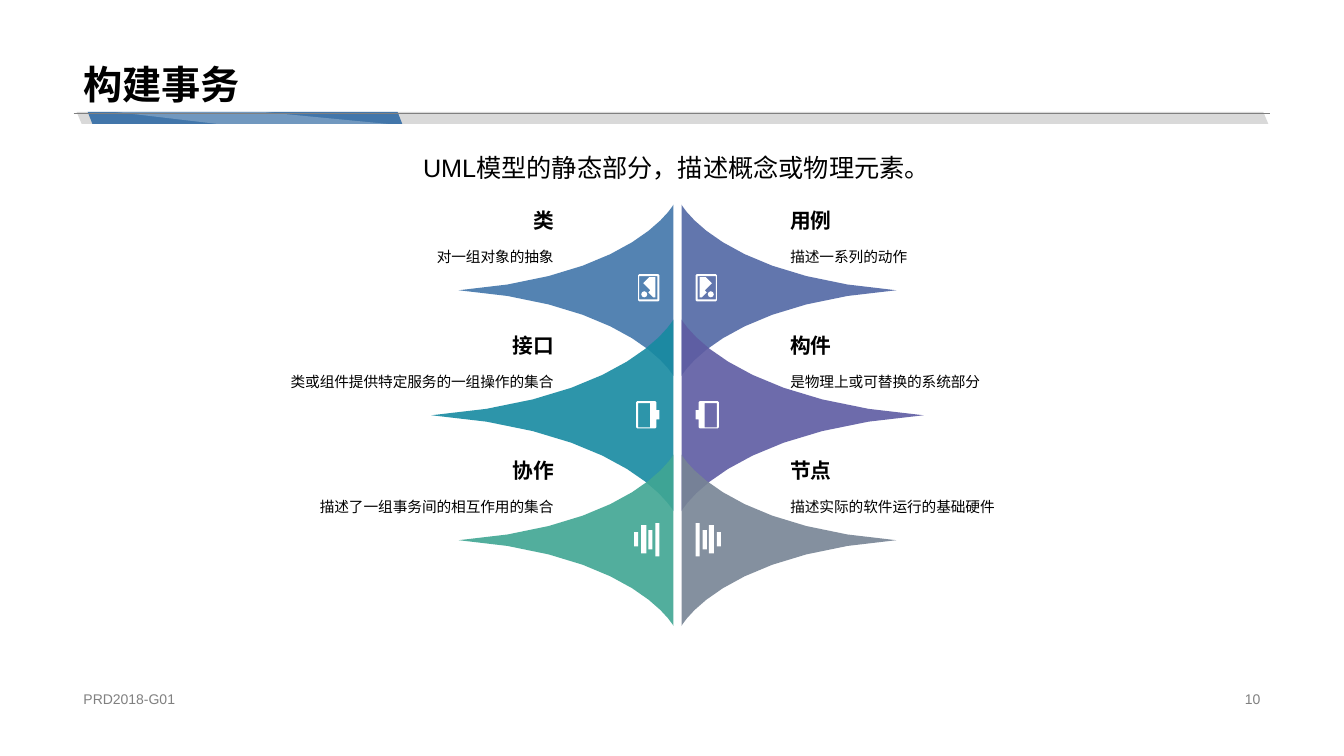
import math
from dataclasses import dataclass

from lxml import etree
from pptx import Presentation
from pptx import util as u
from pptx.dml.color import RGBColor
from pptx.enum import shapes, text
from pptx.oxml import ns

BLACK = RGBColor(0x00, 0x00, 0x00)
WHITE = RGBColor(0xFF, 0xFF, 0xFF)
GREY = RGBColor(0x80, 0x80, 0x80)
PALE = RGBColor(0xD9, 0xD9, 0xD9)
BLUE = RGBColor(0x42, 0x76, 0xAA)
INDIGO = RGBColor(0x52, 0x68, 0xA5)
TEAL = RGBColor(0x17, 0x8A, 0xA1)
VIOLET = RGBColor(0x5E, 0x5C, 0xA2)
GREEN = RGBColor(0x40, 0xA6, 0x93)
SLATE = RGBColor(0x77, 0x84, 0x95)

FONT = "Arial"
AXIS = 6.72
HALF_GAP = 0.04
FIRST_ROW, ROW_STEP = 2.88, 1.24
TEXT_WIDTH = 4.62

Contour = list[tuple[float, float]]


@dataclass(frozen=True)
class Side:
    direction: int
    text_left: float
    align: text.PP_ALIGN


@dataclass(frozen=True)
class Item:
    heading: str
    detail: str
    color: RGBColor


@dataclass(frozen=True)
class Row:
    length: float
    half_height: float
    icon: list[Contour]
    left: Item
    right: Item


# Outline helpers: x is the distance from the axis, y from the row centre
def box(x1: float, y1: float, x2: float, y2: float) -> Contour:
    return [(x1, y1), (x2, y1), (x2, y2), (x1, y2)]


def cut_box(x1: float, y1: float, x2: float, y2: float, cut: float = 0.01) -> Contour:
    return [(x1 + cut, y1), (x2 - cut, y1), (x2, y1 + cut), (x2, y2 - cut),
            (x2 - cut, y2), (x1 + cut, y2), (x1, y2 - cut), (x1, y1 + cut)]


def dot(cx: float, cy: float, radius: float, sides: int = 8) -> Contour:
    angles = [2 * math.pi * i / sides for i in range(sides)]
    return [(cx + radius * math.cos(a), cy + radius * math.sin(a)) for a in angles]


def leaf(length: float, half_height: float, steps: int = 10) -> Contour:
    upper = []
    for i in range(steps + 1):
        t = i / steps
        start, bend, tip = (1 - t) ** 3 + 3 * t * (1 - t) ** 2, 3 * t * t * (1 - t), t ** 3
        upper.append((HALF_GAP + length * (0.18 * bend + tip),
                      -half_height * (start + 0.16 * bend)))
    return upper + [(x, -y) for x, y in reversed(upper[:-1])]


# Drawing helpers
def style(sp, color: RGBColor, opacity: int = 100) -> None:
    sp.shadow.inherit = False
    sp.fill.solid()
    sp.fill.fore_color.rgb = color
    sp.line.fill.background()
    if opacity < 100:
        clr = sp._element.spPr.find(".//" + ns.qn("a:srgbClr"))
        etree.SubElement(clr, ns.qn("a:alpha")).set("val", str(opacity * 1000))


def add_outline(s, contours: list[Contour], color: RGBColor, opacity: int = 100) -> None:
    points = [[(u.Inches(x), u.Inches(y)) for x, y in c] for c in contours]
    builder = s.shapes.build_freeform(*points[0][0])
    builder.add_line_segments(points[0][1:], close=True)
    for contour in points[1:]:
        builder.move_to(*contour[0])
        builder.add_line_segments(contour[1:], close=True)
    style(builder.convert_to_shape(), color, opacity)


def add_band(s, left: float, width: float, slant: float, color: RGBColor) -> None:
    sp = s.shapes.add_shape(shapes.MSO_SHAPE.PARALLELOGRAM, u.Inches(left), u.Inches(1.11),
                            u.Inches(width), u.Inches(0.12))
    sp.adjustments[0] = slant
    sp._element.spPr.xfrm.set("flipH", "1")
    style(sp, color)


def add_text(s, content: str, left: float, top: float, width: float, height: float, *,
             size: float, color: RGBColor = BLACK, bold: bool = False,
             align: text.PP_ALIGN = text.PP_ALIGN.LEFT,
             anchor: text.MSO_ANCHOR = text.MSO_ANCHOR.MIDDLE, spacing: float = 1.0) -> None:
    tf = s.shapes.add_textbox(u.Inches(left), u.Inches(top),
                              u.Inches(width), u.Inches(height)).text_frame
    tf.word_wrap = True
    tf.vertical_anchor = anchor
    p = tf.paragraphs[0]
    p.alignment = align
    p.line_spacing = spacing
    r = p.add_run()
    r.text = content
    r.font.name = FONT
    r.font.size = u.Pt(size)
    r.font.bold = bold
    r.font.color.rgb = color


def add_item(s, row: Row, item: Item, side: Side, centre: float) -> None:
    def place(contour: Contour) -> Contour:
        return [(AXIS + side.direction * x, centre + y) for x, y in contour]

    add_outline(s, [place(leaf(row.length, row.half_height))], item.color, 90)
    add_outline(s, [place(c) for c in row.icon], WHITE)
    add_text(s, item.heading, side.text_left, centre - 0.86, TEXT_WIDTH, 0.32,
             size=14.8, bold=True, align=side.align)
    add_text(s, item.detail, side.text_left, centre - 0.54, TEXT_WIDTH, 0.38,
             size=10.5, align=side.align, spacing=1.2)


LEFT = Side(-1, 0.97, text.PP_ALIGN.RIGHT)
RIGHT = Side(1, 7.74, text.PP_ALIGN.LEFT)

CARD_ICON = [
    cut_box(0.18, -0.16, 0.39, 0.11), box(0.2, -0.14, 0.38, 0.09), dot(0.33, 0.04, 0.03),
    [(0.22, -0.13), (0.22, 0.07), (0.24, 0.07), (0.29, 0.02),
     (0.27, 0), (0.34, -0.07), (0.28, -0.13)],
]
DOOR_ICON = [cut_box(0.21, -0.14, 0.41, 0.13), box(0.27, -0.12, 0.39, 0.12),
             box(0.18, -0.05, 0.21, 0.04)]
BARS_ICON = [box(0.18, -0.17, 0.22, 0.16), box(0.25, -0.1, 0.29, 0.09),
             box(0.31, -0.15, 0.36, 0.13), box(0.39, -0.08, 0.43, 0.06)]

ROWS = [
    Row(2.13, 0.85, CARD_ICON, Item("类", "对一组对象的抽象", BLUE),
        Item("用例", "描述一系列的动作", INDIGO)),
    Row(2.4, 0.95, DOOR_ICON, Item("接口", "类或组件提供特定服务的一组操作的集合", TEAL),
        Item("构件", "是物理上或可替换的系统部分", VIOLET)),
    Row(2.13, 0.85, BARS_ICON, Item("协作", "描述了一组事务间的相互作用的集合", GREEN),
        Item("节点", "描述实际的软件运行的基础硬件", SLATE)),
]


def main() -> None:
    prs = Presentation()
    prs.slide_width, prs.slide_height = u.Inches(13.33), u.Inches(7.5)
    s = prs.slides.add_slide(prs.slide_layouts[6])

    # Title band and rule
    add_band(s, 0.76, 11.82, 0.42, PALE)
    add_band(s, 0.87, 3.12, 0.39, BLUE)
    add_outline(s, [[(3.85, 1.23), (2.6, 1.11), (1.14, 1.11), (2.16, 1.23)]], WHITE, 25)
    rule = s.shapes.add_connector(shapes.MSO_CONNECTOR.STRAIGHT, u.Inches(0.73), u.Inches(1.12),
                                  u.Inches(12.6), u.Inches(1.12))
    rule.line.color.rgb = GREY
    rule.line.width = u.Pt(0.25)
    etree.SubElement(rule._element.spPr, ns.qn("a:effectLst"))

    # Title, introduction and footer
    add_text(s, "构建事务", 0.73, 0, 11.87, 1.12, size=28, bold=True,
             anchor=text.MSO_ANCHOR.BOTTOM, spacing=0.9)
    add_text(s, "UML模型的静态部分，描述概念或物理元素。", 3, 1.37, 7.42, 0.61, size=18,
             align=text.PP_ALIGN.CENTER, anchor=text.MSO_ANCHOR.TOP, spacing=1.3)
    add_text(s, "PRD2018-G01", 0.73, 6.82, 4.53, 0.23, size=10, color=GREY)
    add_text(s, "10", 9.42, 6.82, 3.18, 0.23, size=10, color=GREY, align=text.PP_ALIGN.RIGHT)

    # Paired leaves
    for i, row in enumerate(ROWS):
        centre = FIRST_ROW + i * ROW_STEP
        add_item(s, row, row.left, LEFT, centre)
        add_item(s, row, row.right, RIGHT, centre)

    prs.save("out.pptx")


if __name__ == "__main__":
    main()
